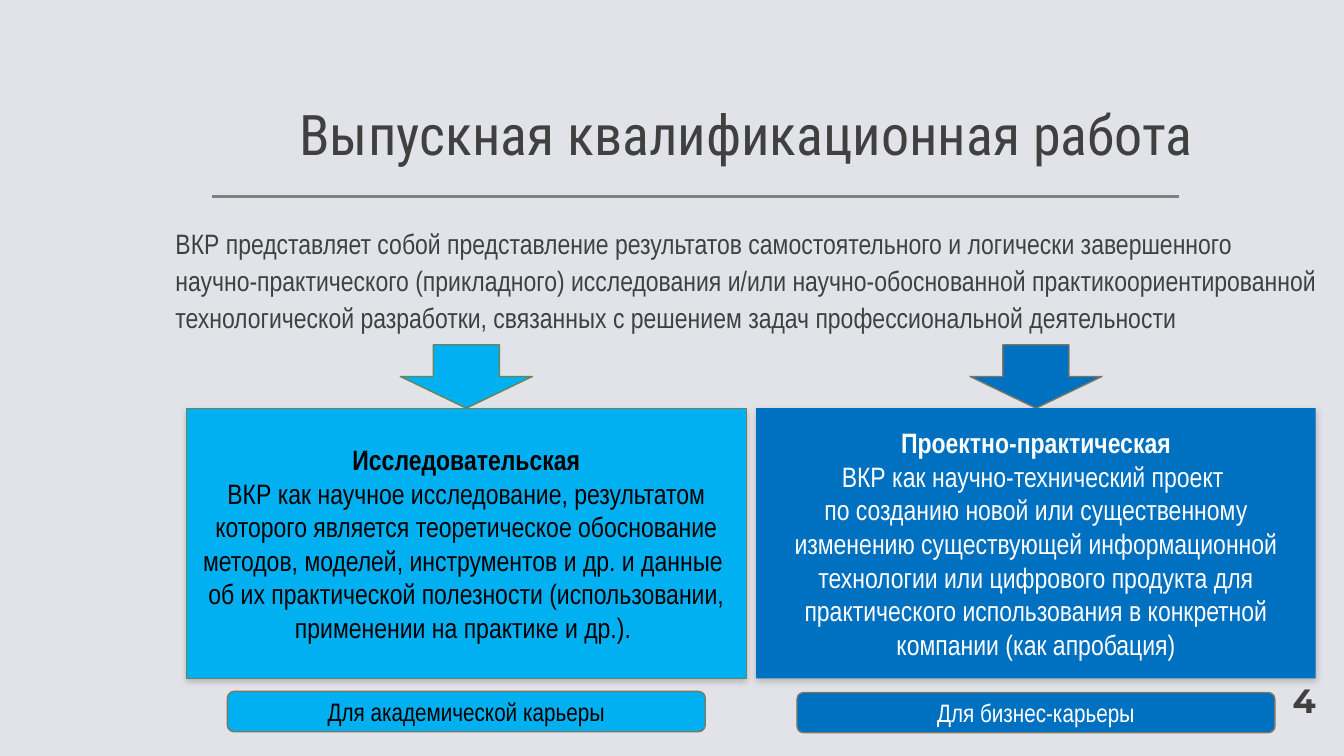
from dataclasses import dataclass
from typing import NamedTuple

from lxml import etree
from pptx import Presentation
from pptx.dml.color import RGBColor
from pptx.enum.shapes import MSO_CONNECTOR, MSO_SHAPE
from pptx.enum.text import MSO_ANCHOR, MSO_AUTO_SIZE, PP_ALIGN
from pptx.oxml.ns import qn
from pptx.util import Inches, Pt

RECTANGLE = MSO_SHAPE.RECTANGLE
ROUNDED = MSO_SHAPE.ROUNDED_RECTANGLE
DOWN_ARROW = MSO_SHAPE.DOWN_ARROW
STRAIGHT = MSO_CONNECTOR.STRAIGHT
TOP, MIDDLE, BOTTOM = MSO_ANCHOR.TOP, MSO_ANCHOR.MIDDLE, MSO_ANCHOR.BOTTOM
LEFT, CENTER, RIGHT = PP_ALIGN.LEFT, PP_ALIGN.CENTER, PP_ALIGN.RIGHT


@dataclass(frozen=True)
class Theme:
    background: str = "E2E3E8"
    ink: str = "404040"
    rule: str = "808080"
    black: str = "000000"
    white: str = "FFFFFF"
    sky: str = "00B0F0"
    blue: str = "0070C0"
    olive: str = "6A845A"
    khaki: str = "7E775F"
    title_font: str = "Roboto Condensed"
    body_font: str = "Arial Narrow"
    number_font: str = "Montserrat"
    title_size: int = 40
    number_size: int = 24
    body_size: int = 20
    label_size: int = 18


THEME = Theme()


class Box(NamedTuple):
    left: float
    top: float
    width: float
    height: float

    def inches(self):
        return [Inches(length) for length in self]


@dataclass(frozen=True)
class Track:
    heading: str
    description: str
    career: str
    fill: str
    ink: str
    arrow_line: str
    card_line: str | None
    label_top: float


TRACKS = [
    Track(
        "Исследовательская",
        "ВКР как научное исследование, результатом которого является "
        "теоретическое обоснование методов, моделей, инструментов и др. и данные \n"
        "об их практической полезности (использовании, применении на практике и др.). ",
        "Для академической карьеры",
        THEME.sky, THEME.black, THEME.olive, THEME.olive, 2.81),
    Track(
        "Проектно-практическая",
        "ВКР как научно-технический проект \n"
        "по созданию новой или существенному изменению существующей информационной "
        "технологии или цифрового продукта для практического использования "
        "в конкретной компании (как апробация)",
        "Для бизнес-карьеры",
        THEME.blue, THEME.white, THEME.khaki, None, 2.82),
]
DEFINITION = (
    "ВКР представляет собой представление результатов самостоятельного "
    "и логически завершенного \n"
    "научно-практического (прикладного) исследования и/или научно-обоснованной "
    "практикоориентированной технологической разработки, связанных с решением "
    "задач профессиональной деятельности")


def rgb(color):
    return RGBColor.from_string(color)


def place(shape, box):
    shape.left, shape.top, shape.width, shape.height = box.inches()


def set_frame(frame, anchor, insets=(0.12, 0.12, 0.12, 0.1)):
    frame.word_wrap = True
    frame.auto_size = MSO_AUTO_SIZE.NONE
    frame.vertical_anchor = anchor
    (frame.margin_left, frame.margin_top,
     frame.margin_right, frame.margin_bottom) = [Inches(inset) for inset in insets]


def write(para, text, font, size, color, align, bold=False):
    """Add the text run by run, with a line break at each newline."""
    para.alignment = align
    for index, line in enumerate(text.split("\n")):
        if index:
            para.add_line_break()
        span = para.add_run()
        span.text = line
        span.font.name = font
        span.font.size = Pt(size)
        span.font.bold = bold
        span.font.color.rgb = rgb(color)


def add_panel(page, kind, box, fill, line=None, line_width=1):
    panel = page.shapes.add_shape(kind, *box.inches())
    panel.shadow.inherit = False
    panel.fill.solid()
    panel.fill.fore_color.rgb = rgb(fill)
    if line:
        panel.line.color.rgb = rgb(line)
        panel.line.width = Pt(line_width)
    else:
        panel.line.fill.background()
    set_frame(panel.text_frame, MIDDLE, (0.1, 0.05, 0.1, 0.05))
    return panel


def add_soft_shadow(shape):
    effects = shape._element.spPr.find(qn("a:effectLst"))
    shadow = etree.SubElement(
        effects, qn("a:outerShdw"), blurRad=str(Pt(4.5)), dist=str(Pt(2)),
        dir="5400000", algn="t", rotWithShape="0")
    color = etree.SubElement(shadow, qn("a:srgbClr"), val=THEME.black)
    etree.SubElement(color, qn("a:alpha"), val="20000")


def add_title(page, box):
    title = page.shapes.title
    place(title, box)
    set_frame(title.text_frame, BOTTOM)
    para = title.text_frame.paragraphs[0]
    para.line_spacing = 1.3
    write(para, "Выпускная квалификационная работа", THEME.title_font,
          THEME.title_size, THEME.ink, LEFT)


def add_rule(page, left, right, top):
    rule = page.shapes.add_connector(
        STRAIGHT, Inches(left), Inches(top), Inches(right), Inches(top))
    rule.line.color.rgb = rgb(THEME.rule)
    rule.line.width = Pt(2)
    etree.SubElement(rule._element.spPr, qn("a:effectLst"))


def add_definition(page, box):
    body = page.placeholders[1]
    place(body, box)
    set_frame(body.text_frame, TOP)
    para = body.text_frame.paragraphs[0]
    properties = para._p.get_or_add_pPr()
    properties.set("marL", "0")
    properties.set("indent", "0")
    etree.SubElement(properties, qn("a:buNone"))
    para.line_spacing = 1.1
    para.space_before = Pt(0)
    para.space_after = Pt(6)
    write(para, DEFINITION, THEME.body_font, THEME.body_size, THEME.ink, LEFT)


def add_track(page, box, track):
    """Place the arrow above, the card in and the career label below the box."""
    arrow_width, arrow_height = 1.31, 0.63
    arrow = Box(box.left + (box.width - arrow_width) / 2,
                box.top - arrow_height, arrow_width, arrow_height)
    add_panel(page, DOWN_ARROW, arrow, track.fill, track.arrow_line)

    card = add_panel(page, RECTANGLE, box, track.fill, track.card_line, 0.75)
    add_soft_shadow(card)
    frame = card.text_frame
    write(frame.paragraphs[0], track.heading, THEME.body_font,
          THEME.body_size, track.ink, CENTER, bold=True)
    write(frame.add_paragraph(), track.description, THEME.body_font,
          THEME.body_size, track.ink, CENTER)

    label_width = 4.74
    label_box = Box(box.left + (box.width - label_width) / 2,
                    box.top + track.label_top, label_width, 0.4)
    label = add_panel(page, ROUNDED, label_box, track.fill, THEME.khaki)
    write(label.text_frame.paragraphs[0], track.career, THEME.body_font,
          THEME.label_size, track.ink, CENTER)


def add_page_number(page, box):
    number = page.shapes.add_textbox(*box.inches())
    set_frame(number.text_frame, BOTTOM)
    write(number.text_frame.paragraphs[0], "4", THEME.number_font,
          THEME.number_size, THEME.ink, RIGHT, bold=True)


def main():
    deck = Presentation()
    deck.slide_width, deck.slide_height = Inches(13.33), Inches(7.5)
    page = deck.slides.add_slide(deck.slide_layouts[1])
    page.background.fill.solid()
    page.background.fill.fore_color.rgb = rgb(THEME.background)
    add_rule(page, 2.1, 11.69, 1.95)
    add_title(page, Box(2.85, 0.67, 10.83, 1.08))
    add_definition(page, Box(1.62, 2.09, 11.71, 2))
    add_page_number(page, Box(11.87, 6.75, 1.3, 0.5))
    card_width, gap = 5.55, 0.1
    for column, track in enumerate(TRACKS):
        left = 1.85 + column * (card_width + gap)
        add_track(page, Box(left, 4.05, card_width, 2.68), track)
    deck.save("out.pptx")


if __name__ == "__main__":
    main()
